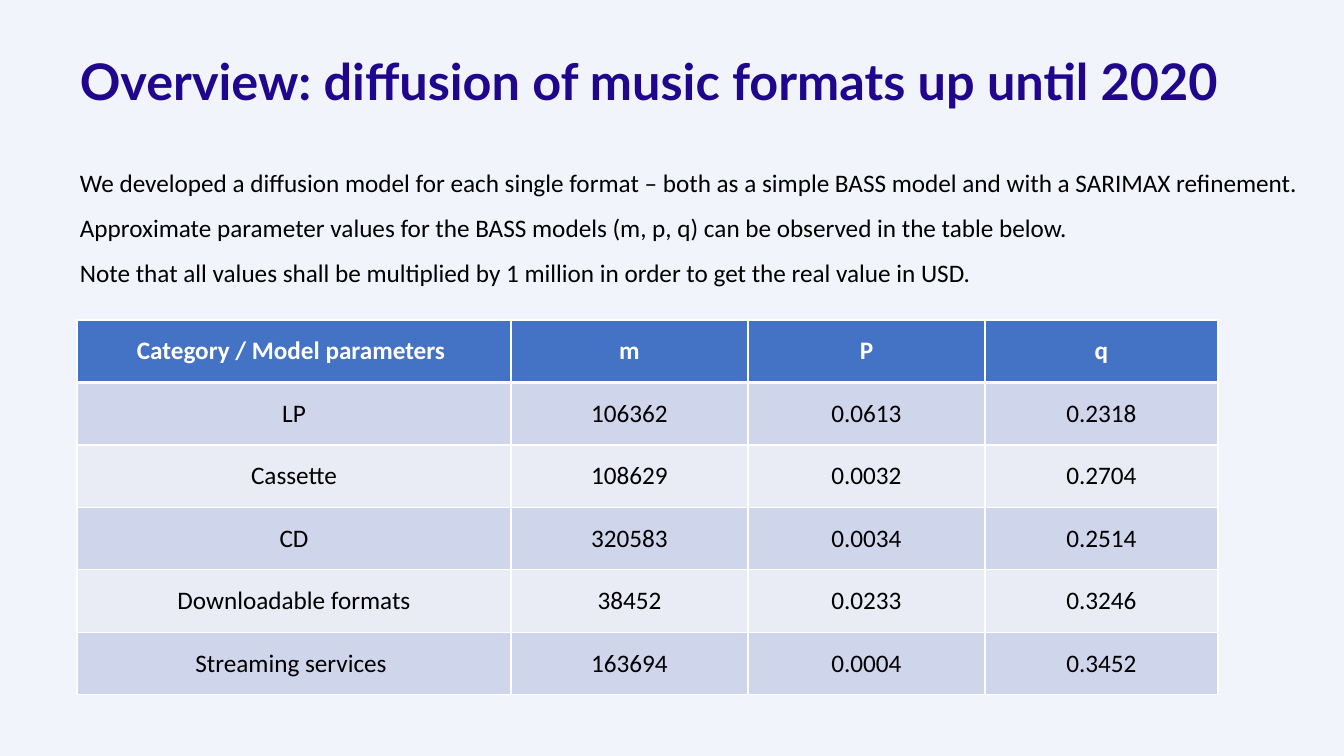
from lxml.etree import SubElement
from pptx import Presentation
from pptx.dml.color import RGBColor
from pptx.enum.text import MSO_ANCHOR as ANCHOR, MSO_AUTO_SIZE as AUTO, PP_ALIGN as ALIGN
from pptx.oxml.ns import qn
from pptx.util import Pt

PX = 914400 / 100.8
BACKGROUND = RGBColor(0xF1, 0xF4, 0xFA)
INDIGO = RGBColor(0x20, 0x06, 0x8C)
BLACK = RGBColor(0, 0, 0)
WHITE = RGBColor(0xFF, 0xFF, 0xFF)
HEADER = RGBColor(0x44, 0x72, 0xC4)
BANDS = (RGBColor(0xCF, 0xD5, 0xEA), RGBColor(0xE9, 0xEB, 0xF5))

TITLE = "Overview: diffusion of music formats up until 2020 "
INTRO = [
    "We developed a diffusion model for each single format – both as a simple BASS model and with a SARIMAX refinement.",
    "Approximate parameter values for the BASS models (m, p, q) can be observed in the table below.",
    "Note that all values shall be multiplied by 1 million in order to get the real value in USD.",
]
PARAMETERS = [
    ("Category / Model parameters ", "m", "P", "q"),
    ("LP", "106362", "0.0613", "0.2318"),
    ("Cassette", "108629", "0.0032", "0.2704"),
    ("CD", "320583", "0.0034", "0.2514"),
    ("Downloadable formats", "38452", "0.0233", "0.3246"),
    ("Streaming services ", "163694", "0.0004", "0.3452"),
]
COLUMN_WIDTHS = (434, 237, 237, 233)


def px(n):
    return round(n * PX)


def write(tf, lines, size=18, font="Calibri", color=BLACK, bold=False, align=ALIGN.LEFT, spacing=None):
    for i, line in enumerate(lines):
        p = tf.paragraphs[0] if i == 0 else tf.add_paragraph()
        p.alignment = align
        if spacing:
            p.line_spacing = spacing
        r = p.add_run()
        r.text = line
        r.font.size, r.font.name, r.font.bold = Pt(size), font, bold
        r.font.color.rgb = color


def add_text(slide, box, lines, **fmt):
    tf = slide.shapes.add_textbox(*map(px, box)).text_frame
    tf.word_wrap = True
    tf.auto_size = AUTO.SHAPE_TO_FIT_TEXT
    write(tf, lines, **fmt)


def set_borders(cell, bottom=1):
    # Borders precede the fill inside the cell properties
    tc_pr = cell._tc.get_or_add_tcPr()
    for i, (side, width) in enumerate((("L", 1), ("R", 1), ("T", 1), ("B", bottom))):
        ln = SubElement(tc_pr, qn(f"a:ln{side}"), w=str(Pt(width)))
        fill = SubElement(ln, qn("a:solidFill"))
        SubElement(fill, qn("a:srgbClr"), val=str(WHITE))
        tc_pr.insert(i, ln)


def add_parameter_table(slide, box, rows, widths):
    table = slide.shapes.add_table(len(rows), len(widths), *map(px, box)).table
    for column, width in zip(table.columns, widths):
        column.width = px(width)
    for i, values in enumerate(rows):
        is_header = i == 0
        table.rows[i].height = px(box[3] / len(rows))
        for j, value in enumerate(values):
            cell = table.cell(i, j)
            cell.vertical_anchor = ANCHOR.MIDDLE
            cell.fill.solid()
            cell.fill.fore_color.rgb = HEADER if is_header else BANDS[(i - 1) % 2]
            # The header row and the first data row share the thick line
            set_borders(cell, bottom=3 if is_header else 1)
            if i == 1:
                cell._tc.tcPr.find(qn("a:lnT")).set("w", str(Pt(3)))
            write(cell.text_frame, [value], color=WHITE if is_header else BLACK,
                  bold=is_header, align=ALIGN.CENTER)


def build_overview(prs):
    slide = prs.slides.add_slide(prs.slide_layouts[6])
    slide.background.fill.solid()
    slide.background.fill.fore_color.rgb = BACKGROUND
    # Title
    add_text(slide, (63, 45, 1184, 72), [TITLE], size=36, font="Lato",
             color=INDIGO, bold=True, align=ALIGN.CENTER)
    # Introduction
    add_text(slide, (70, 147, 1274, 143), INTRO, spacing=1.5)
    # Model parameters
    add_parameter_table(slide, (77, 320, sum(COLUMN_WIDTHS), 375), PARAMETERS, COLUMN_WIDTHS)


def main():
    prs = Presentation()
    prs.slide_width, prs.slide_height = px(1344), px(756)
    build_overview(prs)
    prs.save("out.pptx")


if __name__ == "__main__":
    main()
